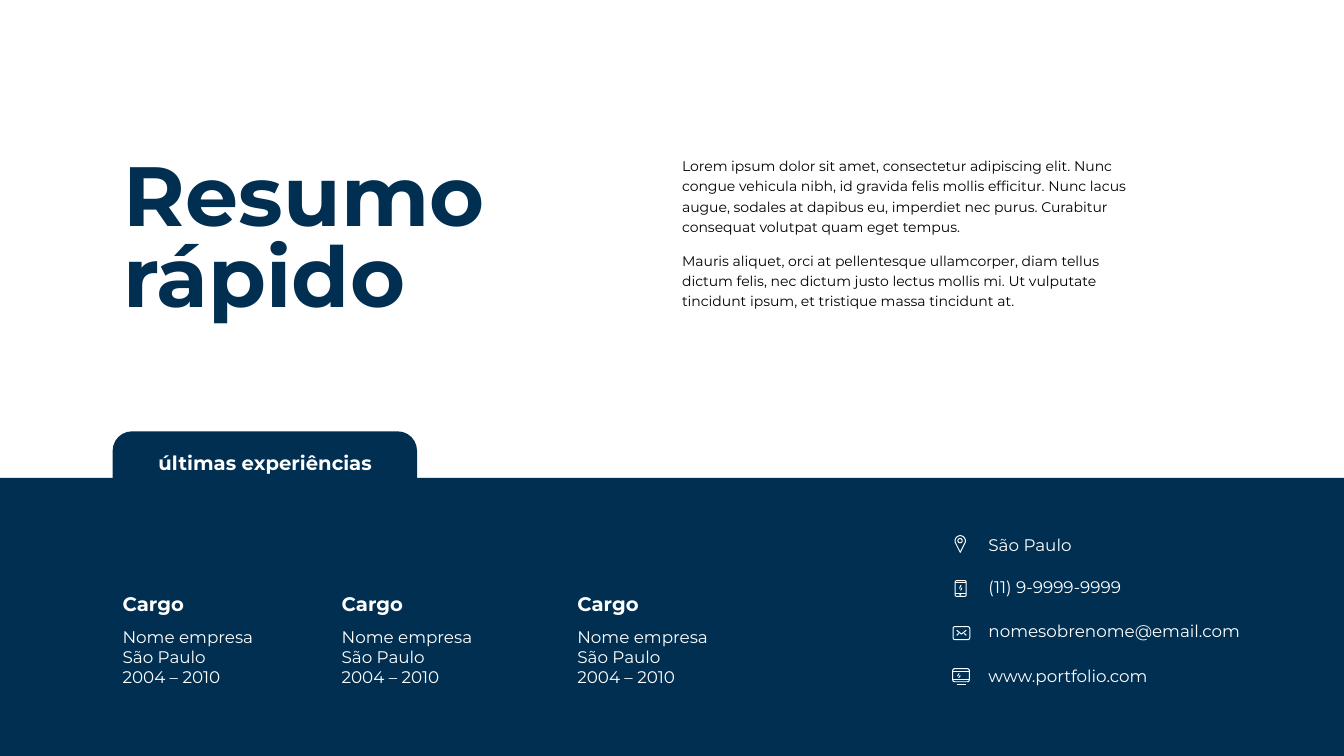
import math
from lxml import etree
from pptx import Presentation
from pptx.dml.color import RGBColor
from pptx.enum.shapes import MSO_CONNECTOR, MSO_SHAPE
from pptx.enum.text import MSO_ANCHOR, MSO_AUTO_SIZE, PP_ALIGN
from pptx.oxml.ns import qn
from pptx.util import Cm, Pt

TITLE = "Resumo rápido"
SUMMARY = [
    "Lorem ipsum dolor sit amet, consectetur adipiscing elit. Nunc congue vehicula nibh, "
    "id gravida felis mollis efficitur. Nunc lacus augue, sodales at dapibus eu, "
    "imperdiet nec purus. Curabitur consequat volutpat quam eget tempus.",
    "Mauris aliquet, orci at pellentesque ullamcorper, diam tellus dictum felis, "
    "nec dictum justo lectus mollis mi. Ut vulputate tincidunt ipsum, "
    "et tristique massa tincidunt at.",
]
TAB_LABEL = "últimas experiências"
JOB = ("Cargo", ["Nome empresa", "São Paulo", "2004 – 2010"])
JOB_COLUMNS = [(2.84, 4.27), (8.36, 4.27), (14.3, 6.17)]
CONTACTS = ["São Paulo", "(11) 9-9999-9999", "nomesobrenome@email.com", "www.portfolio.com"]

ICON_FRAMES = [
    (24.07, 14.63, 0.28, 0.4),
    (24.02, 15.79, 0.42, 0.33),
    (24.01, 16.85, 0.42, 0.33),
]
ICON_CIRCLES = [(24.14, 13.57, 0.11), (24.19, 14.98, 0.02)]
PHONE_STROKES = [
    (24.07, 14.69, 24.35, 14.69), (24.07, 14.95, 24.35, 14.95),
    (24.18, 14.83, 24.22, 14.74), (24.21, 14.88, 24.24, 14.81),
]
MAIL_STROKES = [
    (24.11, 15.88, 24.23, 15.98), (24.23, 15.98, 24.35, 15.88),
    (24.11, 16.01, 24.16, 15.96), (24.35, 16.01, 24.3, 15.96),
]
MONITOR_STROKES = [
    (24.01, 16.92, 24.43, 16.92), (24.01, 17.11, 24.43, 17.11), (24.11, 17.26, 24.34, 17.26),
    (24.13, 17.04, 24.17, 16.97), (24.16, 17.08, 24.2, 17.02),
]
PIN_CENTER, PIN_RADIUS, PIN_TIP = (24.2, 13.63), 0.13, 13.92

NAVY = RGBColor(0x00, 0x2F, 0x51)
WHITE = RGBColor(0xFF, 0xFF, 0xFF)
BLACK = RGBColor(0x00, 0x00, 0x00)
FONT = "Montserrat"
ICON_LINE = Pt(0.7)
LEFT, CENTER = PP_ALIGN.LEFT, PP_ALIGN.CENTER
TOP, MIDDLE, BOTTOM = MSO_ANCHOR.TOP, MSO_ANCHOR.MIDDLE, MSO_ANCHOR.BOTTOM
RECTANGLE, ROUNDED, OVAL = MSO_SHAPE.RECTANGLE, MSO_SHAPE.ROUNDED_RECTANGLE, MSO_SHAPE.OVAL
STRAIGHT = MSO_CONNECTOR.STRAIGHT

TITLE_FORMAT = {"size": Pt(60), "bold": True}
SUMMARY_FORMAT = {"size": Pt(10), "bold": False}
HEADING_FORMAT = {"size": Pt(14), "bold": True}
DETAIL_FORMAT = {"size": Pt(12), "bold": False}


def box(*lengths):
    return [Cm(length) for length in lengths]


def write(shape, lines, font_format, color, spacing=1.0, gap=0, align=LEFT, anchor=TOP):
    frame = shape.text_frame
    frame.word_wrap = True
    frame.auto_size = MSO_AUTO_SIZE.NONE
    frame.vertical_anchor = anchor
    for index, line in enumerate(lines):
        paragraph = frame.add_paragraph() if index else frame.paragraphs[0]
        paragraph.text = line
        paragraph.alignment = align
        paragraph.line_spacing = spacing
        paragraph.space_before = Pt(gap if index else 0)
        paragraph.font.name = FONT
        paragraph.font.color.rgb = color
        for name, value in font_format.items():
            setattr(paragraph.font, name, value)


def add_text(slide, place, lines, font_format, color=WHITE, **layout):
    write(slide.shapes.add_textbox(*box(*place)), lines, font_format, color, **layout)


def add_block(slide, kind, place):
    shape = slide.shapes.add_shape(kind, *box(*place))
    shape.shadow.inherit = False
    shape.fill.solid()
    shape.fill.fore_color.rgb = NAVY
    shape.line.fill.background()
    return shape


def outline(shape):
    shape.shadow.inherit = False
    shape.fill.background()
    shape.line.color.rgb = WHITE
    shape.line.width = ICON_LINE


def add_stroke(slide, ends):
    stroke = slide.shapes.add_connector(STRAIGHT, *box(*ends))
    stroke.line.color.rgb = WHITE
    stroke.line.width = ICON_LINE
    etree.SubElement(stroke._element.spPr, qn("a:effectLst"))


def add_pin(slide):
    center_x, center_y = PIN_CENTER
    points = [(Cm(center_x), Cm(PIN_TIP))]
    for degrees in range(160, 381, 10):
        angle = math.radians(degrees)
        points.append((Cm(center_x + PIN_RADIUS * math.cos(angle)),
                       Cm(center_y + PIN_RADIUS * math.sin(angle))))
    builder = slide.shapes.build_freeform(*points[0])
    builder.add_line_segments(points[1:], close=True)
    outline(builder.convert_to_shape())


def add_icons(slide):
    add_pin(slide)
    for place in ICON_FRAMES:
        frame = slide.shapes.add_shape(ROUNDED, *box(*place))
        frame.adjustments[0] = 0.15
        outline(frame)
    for left, top, diameter in ICON_CIRCLES:
        outline(slide.shapes.add_shape(OVAL, *box(left, top, diameter, diameter)))
    for ends in PHONE_STROKES + MAIL_STROKES + MONITOR_STROKES:
        add_stroke(slide, ends)


def main():
    presentation = Presentation()
    presentation.slide_width, presentation.slide_height = box(33.87, 19.05)
    slide = presentation.slides.add_slide(presentation.slide_layouts[5])

    add_block(slide, RECTANGLE, (0, 12.04, 33.87, 7.01))
    title = slide.shapes.title
    title.left, title.top, title.width, title.height = box(2.87, 3.4, 14.1, 4.88)
    write(title, [TITLE], TITLE_FORMAT, NAVY, spacing=0.8, anchor=BOTTOM)
    add_text(slide, (16.94, 3.38, 12.22, 4.93), SUMMARY, SUMMARY_FORMAT, BLACK,
             spacing=1.2, gap=10, anchor=MIDDLE)

    tab = add_block(slide, ROUNDED, (2.84, 10.87, 7.67, 1.8))
    tab.adjustments[0] = 0.27
    add_text(slide, (3.61, 11.3, 6.15, 0.86), [TAB_LABEL], HEADING_FORMAT,
             spacing=0.9, align=CENTER)

    role, details = JOB
    for left, width in JOB_COLUMNS:
        add_text(slide, (left, 14.86, width, 0.86), [role], HEADING_FORMAT, spacing=0.9)
        add_text(slide, (left, 15.67, width, 1.8), details, DETAIL_FORMAT)

    for index, contact in enumerate(CONTACTS):
        add_text(slide, (24.66, 13.34 + 1.12 * index, 7.85, 0.76), [contact], DETAIL_FORMAT,
                 spacing=0.9 if index else 1.0)
    add_icons(slide)
    presentation.save("out.pptx")


if __name__ == "__main__":
    main()
